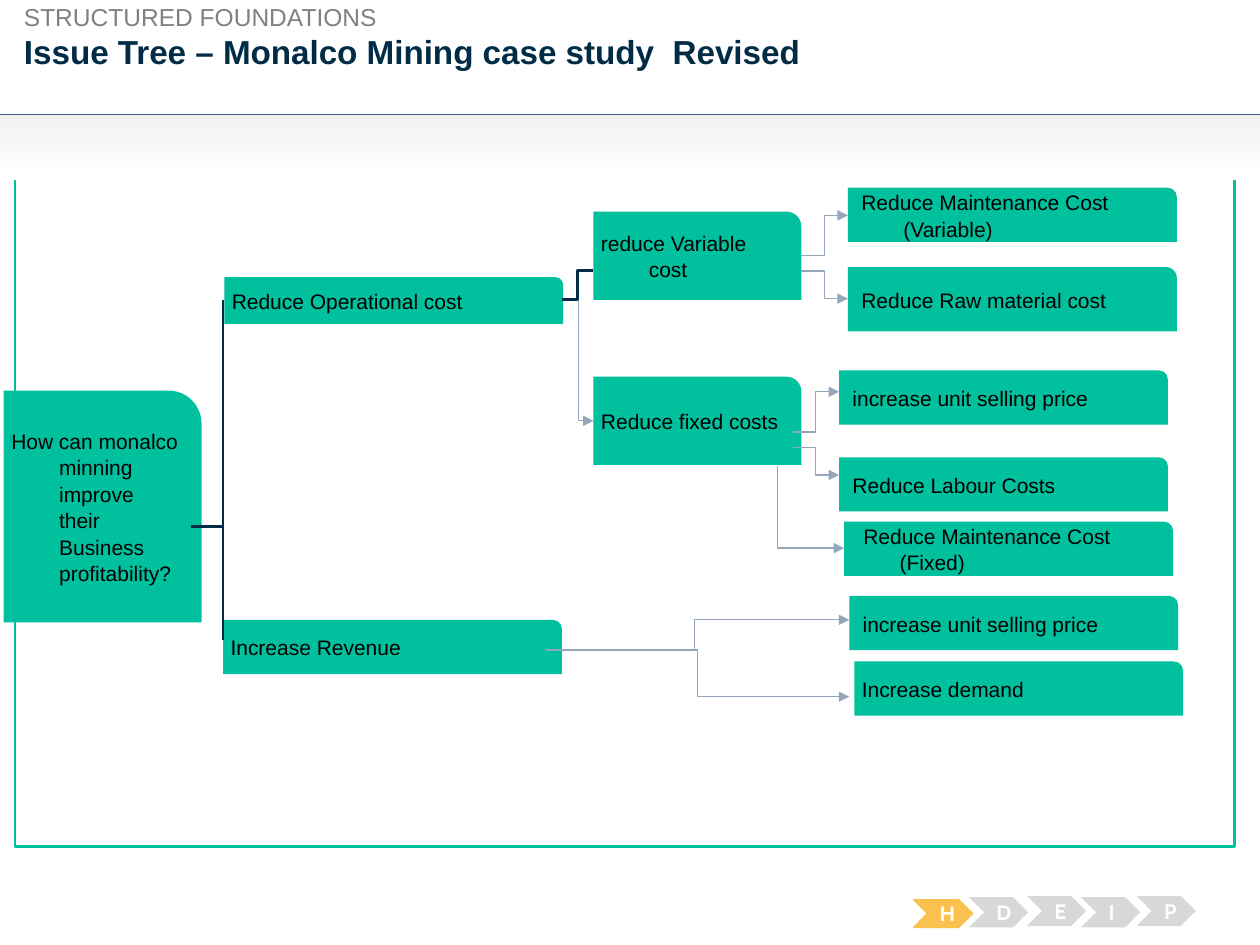
from lxml.etree import SubElement
from pptx import Presentation
from pptx.dml.color import RGBColor
from pptx.enum.shapes import MSO_CONNECTOR, MSO_SHAPE
from pptx.enum.text import MSO_ANCHOR, PP_ALIGN
from pptx.oxml.ns import qn
from pptx.util import Inches, Pt

COLOURS = {
    "green": "00C09D", "navy": "002C46", "steel": "95A6BB", "rule": "406085",
    "grey": "808080", "band": "F2F2F2", "amber": "FBC14E", "idle": "D8D8D8",
    "black": "000000", "white": "FFFFFF",
}
COLS, ROWS = 100, 75
WIDTH, HEIGHT = Inches(10), Inches(7.5)

NO_INSETS = dict(margin_left=0, margin_top=0, margin_right=0, margin_bottom=0)
HEADING = dict(NO_INSETS, word_wrap=True, vertical_anchor=MSO_ANCHOR.TOP)
NODE = dict(margin_left=Inches(0.06), margin_right=Inches(0.1),
            margin_top=Inches(0.05), margin_bottom=Inches(0.05),
            word_wrap=True, vertical_anchor=MSO_ANCHOR.MIDDLE)
STEP = dict(NODE, margin_left=Inches(0.1))
LEFT = dict(alignment=PP_ALIGN.LEFT)
NODE_PARAGRAPH = dict(LEFT, line_spacing=1.05)
CENTRED = dict(alignment=PP_ALIGN.CENTER)
NODE_FONT = dict(name="Arial", size=Pt(12), bold=False)
TITLE_FONT = dict(name="Arial", size=Pt(19), bold=True)
SECTION_FONT = dict(name="Arial", size=Pt(14), bold=False)
STEP_FONT = dict(name="Cabin", size=Pt(12), bold=True)

# Text, column, row, columns wide, rows high
BRANCHES = [
    ("How can monalco minning improve their Business profitability?",
     0.3, 31, 15.7, 18.4),
    ("Reduce Operational cost", 17.8, 22, 26.9, 3.7),
    ("Increase Revenue", 17.7, 49.2, 26.9, 4.3),
    ("reduce Variable cost", 47.1, 16.8, 16.5, 7),
    ("Reduce fixed costs", 47.1, 29.9, 16.5, 7),
]
# Text, column, row, rows high
LEAVES = [
    (" Reduce Maintenance Cost (Variable)", 67.3, 14.9, 4.3),
    (" Reduce Raw material cost", 67.3, 21.2, 5.1),
    (" increase unit selling price", 66.6, 29.4, 4.3),
    (" Reduce Labour Costs", 66.6, 36.3, 4.3),
    ("  Reduce Maintenance Cost (Fixed)", 67, 41.4, 4.3),
    (" increase unit selling price", 67.4, 47.3, 4.3),
    ("Increase demand", 67.8, 52.5, 4.3),
]
LEAF_WIDTH = 26.1
# Start column and row, end column and row, share of the way to the bend
ARROWS = [
    (45.9, 23.8, 47.1, 33.4, 0),
    (63.6, 20.3, 67.3, 17.1, 0.5),
    (63.6, 21.5, 67.3, 23.7, 0.5),
    (62.9, 34.3, 66.6, 31.1, 0.5),
    (62.9, 35.5, 66.6, 37.7, 0.5),
    (61.7, 37, 67, 43.5, 0),
    (43.3, 51.6, 67.4, 49.2, 0.49),
    (43.3, 51.6, 67.4, 55.3, 0.5),
]
# Letter, column, row, rows high, colour
STEPS = [
    ("H", 72.5, 71.4, 2.2, "amber"),
    ("D", 76.9, 71.2, 2.4, "idle"),
    ("E", 81.5, 71.1, 2.4, "idle"),
    ("I", 85.8, 71.2, 2.4, "idle"),
    ("P", 90.2, 71.1, 2.4, "idle"),
]


def rgb(name):
    return RGBColor.from_string(COLOURS[name])


def x(cols):
    return round(WIDTH * cols / COLS)


def y(rows):
    return round(HEIGHT * rows / ROWS)


def apply(target, values):
    for key, value in values.items():
        setattr(target, key, value)


class IssueTree:
    def __init__(self, prs):
        self.s = prs.slides.add_slide(prs.slide_layouts[5])

    def label(self, sp, text, frame, paragraph, font, colour):
        tf = sp.text_frame
        apply(tf, frame)
        p = tf.paragraphs[0]
        apply(p, paragraph)
        r = p.add_run()
        r.text = text
        apply(r.font, font)
        r.font.color.rgb = rgb(colour)
        return p

    def title(self, text, col, row, cols, rows):
        sp = self.s.shapes.title
        apply(sp, dict(left=x(col), top=y(row), width=x(cols), height=y(rows)))
        self.label(sp, text, HEADING, LEFT, TITLE_FONT, "navy")

    def section(self, text, col, row, cols, rows):
        sp = self.s.shapes.add_textbox(x(col), y(row), x(cols), y(rows))
        self.label(sp, text, HEADING, LEFT, SECTION_FONT, "grey")

    def shape(self, kind, col, row, cols, rows, fill, line=None, weight=0.75):
        sp = self.s.shapes.add_shape(kind, x(col), y(row), x(cols), y(rows))
        sp.shadow.inherit = False
        sp.fill.solid()
        sp.fill.fore_color.rgb = rgb(fill)
        if line:
            sp.line.color.rgb = rgb(line)
            sp.line.width = Pt(weight)
        else:
            sp.line.fill.background()
        return sp

    def band(self, row, rows):
        """Full-width header band fading downwards, with a rule on top."""
        sp = self.shape(MSO_SHAPE.RECTANGLE, 0, row, COLS, rows, "band")
        sp.fill.gradient()
        sp.fill.gradient_angle = 270
        for stop, name in zip(sp.fill.gradient_stops, ("band", "white")):
            stop.color.rgb = rgb(name)
        self.connector(0, row, COLS, row, "rule", 0.75)

    def node(self, text, *cell):
        sp = self.shape(MSO_SHAPE.ROUND_1_RECTANGLE, *cell, "green")
        p = self.label(sp, text, NODE, NODE_PARAGRAPH, NODE_FONT, "black")
        pPr = p._p.get_or_add_pPr()
        pPr.set("marL", str(Inches(0.38)))
        pPr.set("indent", str(-Inches(0.38)))

    def step(self, text, col, row, rows, colour):
        line = "amber" if colour == "amber" else None
        sp = self.shape(MSO_SHAPE.CHEVRON, col, row, 4.7, rows, colour, line)
        self.label(sp, text, STEP, CENTRED, STEP_FONT, "white")

    def connector(self, x1, y1, x2, y2, colour, weight, bend=None, arrow=False):
        """Straight line, or an elbow turning at the given share of its width."""
        kind = MSO_CONNECTOR.STRAIGHT if bend is None else MSO_CONNECTOR.ELBOW
        c = self.s.shapes.add_connector(kind, x(x1), y(y1), x(x2), y(y2))
        c.line.color.rgb = rgb(colour)
        c.line.width = Pt(weight)
        spPr = c._element.spPr
        if bend is not None:
            guides = spPr.find(qn("a:prstGeom")).get_or_add_avLst()
            SubElement(guides, qn("a:gd"), name="adj1",
                       fmla=f"val {round(bend * 100000)}")
        if arrow:
            SubElement(spPr.find(qn("a:ln")), qn("a:tailEnd"), type="triangle")
        SubElement(spPr, qn("a:effectLst"))


def main():
    prs = Presentation()
    prs.slide_width, prs.slide_height = WIDTH, HEIGHT
    tree = IssueTree(prs)

    tree.shape(MSO_SHAPE.RECTANGLE, 1.2, 13.2, 96.8, 54, "white", "green", 1.5)
    tree.band(9.1, 5.2)
    tree.title("Issue Tree – Monalco Mining case study  Revised",
               1.9, 2.5, 94.3, 3.3)
    tree.section("STRUCTURED FOUNDATIONS", 1.9, 0.2, 32, 2.4)

    for branch in BRANCHES:
        tree.node(*branch)
    for text, col, row, rows in LEAVES:
        tree.node(text, col, row, LEAF_WIDTH, rows)

    root_row = 41.8
    for end_row in (root_row - 18, root_row + 9):
        tree.connector(15.2, root_row, 17.7, end_row, "navy", 1.5, bend=1)
    tree.connector(15.2, root_row, 17.7, root_row, "navy", 1.5)
    tree.connector(44.6, 23.8, 47.1, 21.5, "navy", 1.5, bend=0.5)
    for *ends, bend in ARROWS:
        tree.connector(*ends, "steel", 0.75, bend, arrow=True)

    for step in STEPS:
        tree.step(*step)
    prs.save("out.pptx")


if __name__ == "__main__":
    main()
